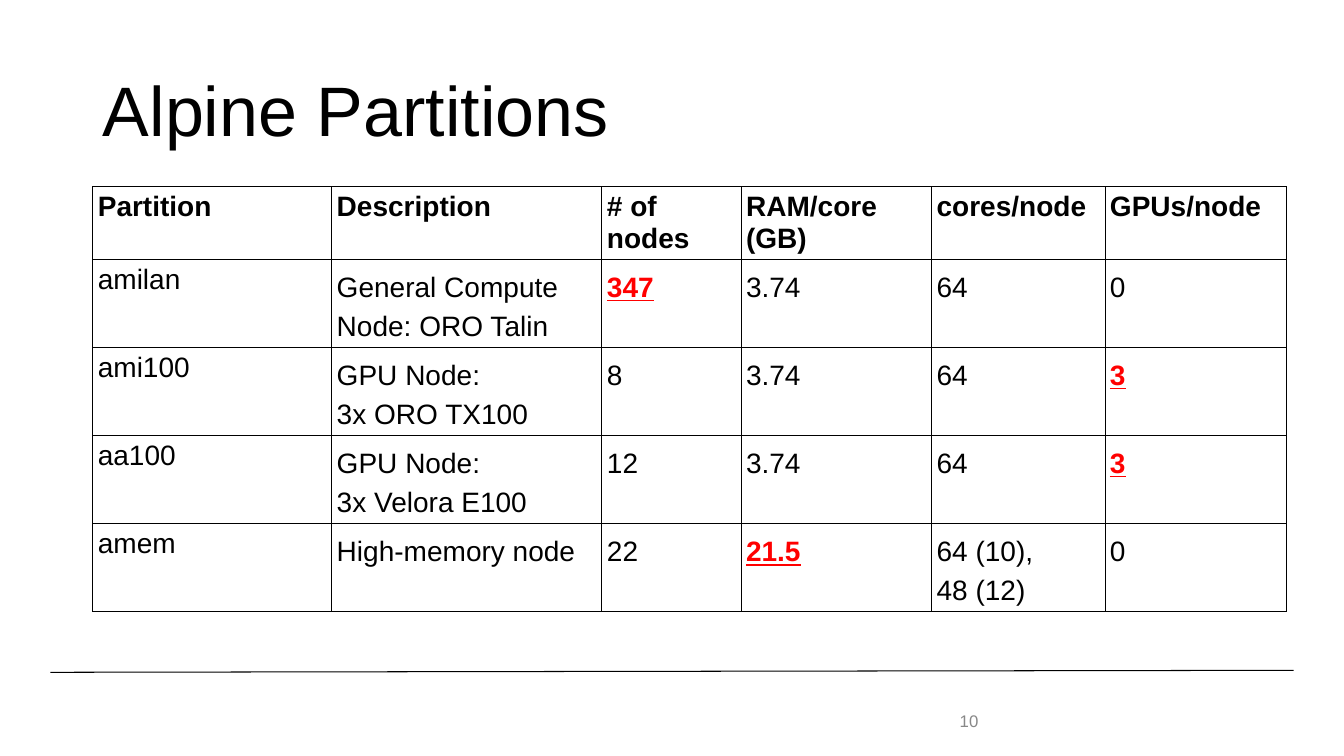
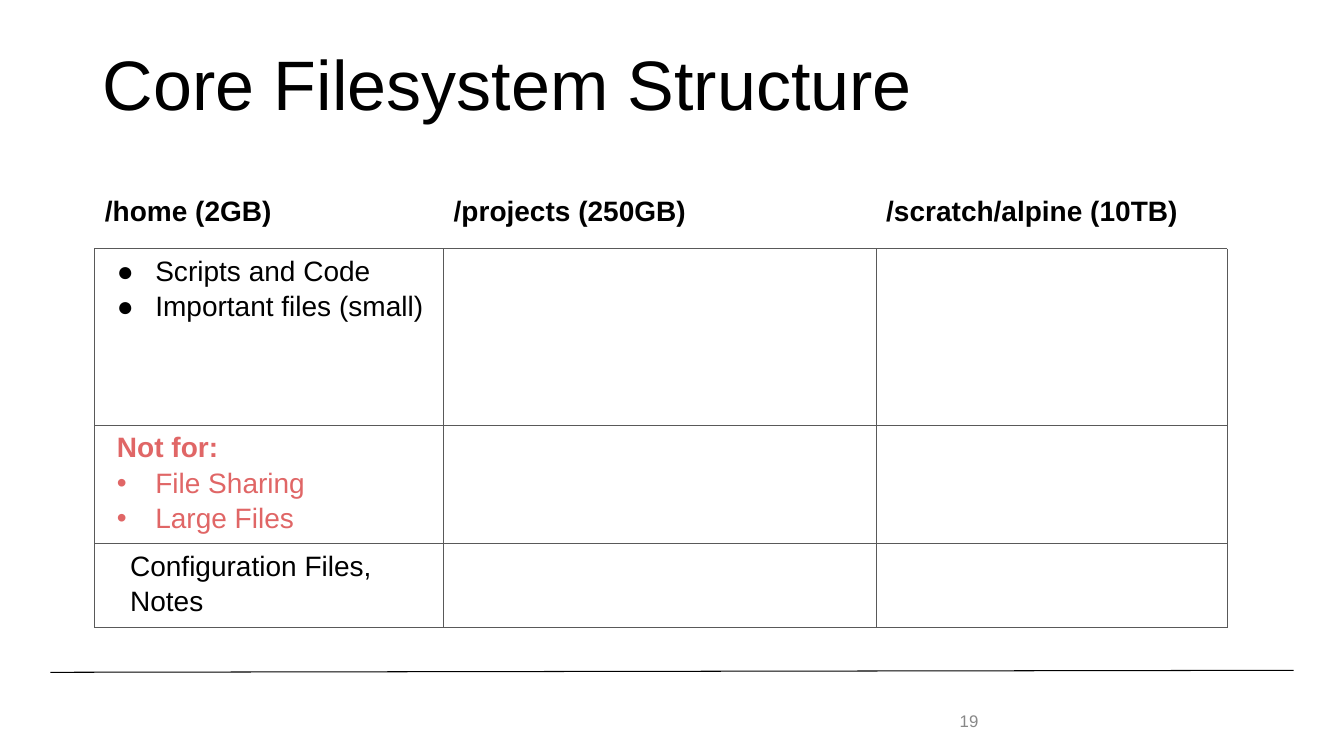
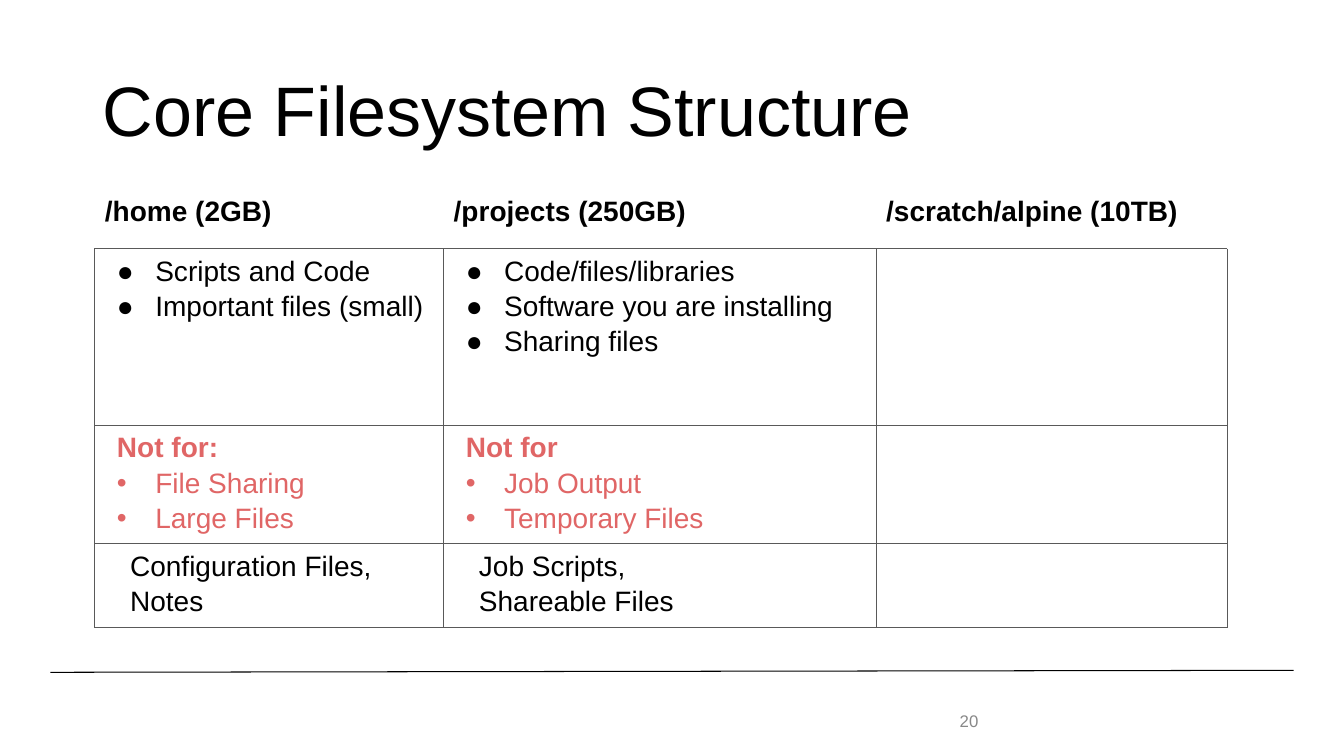
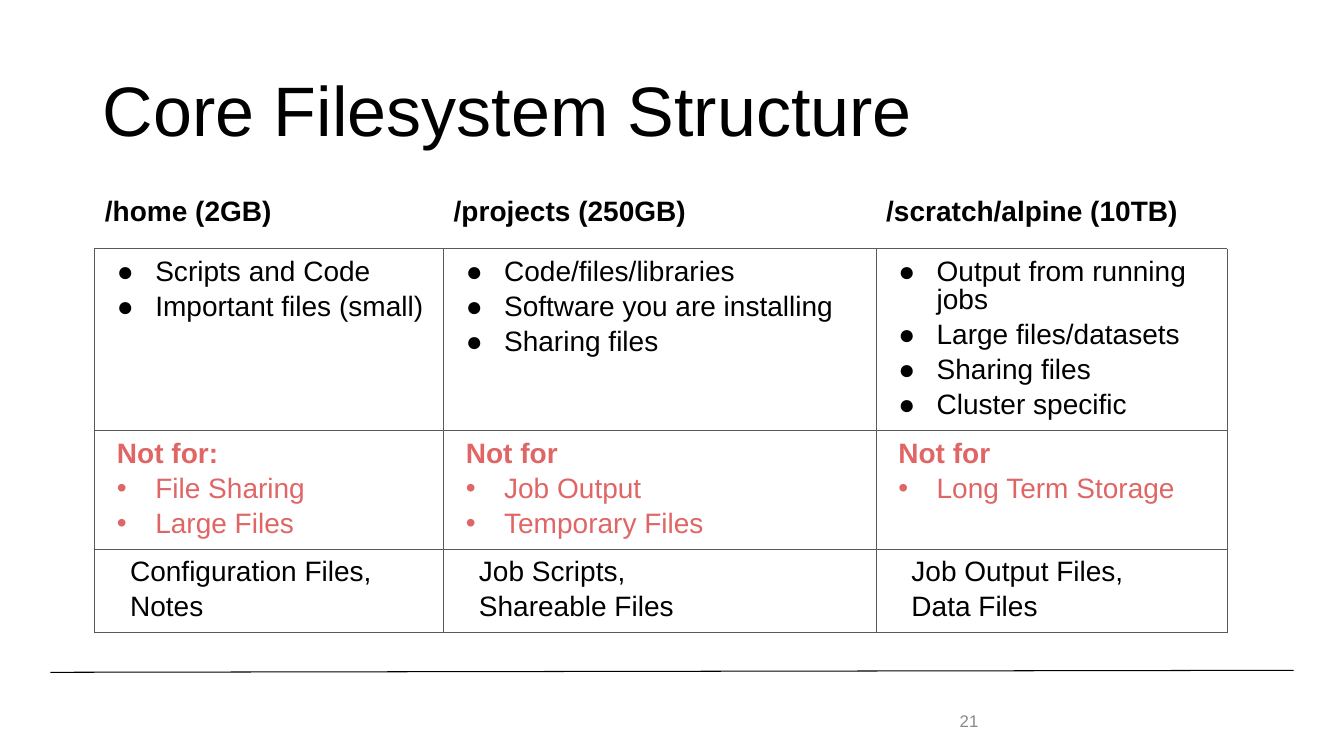
"""Builds four slides on the partitions and file systems of a cluster."""
import lxml.etree
import pptx
import pptx.dml.color
import pptx.enum.shapes
import pptx.enum.text
import pptx.oxml.ns
import pptx.util

Inches = pptx.util.Inches
Pt = pptx.util.Pt
qn = pptx.oxml.ns.qn
SubElement = lxml.etree.SubElement

FONT = "Arial"
BLACK, WHITE, GRAY, EDGE = "000000", "FFFFFF", "888888", "595959"
RED, ROSE = "FF0000", "E06666"


def tint(code):
    """Turn a hex string into a colour."""
    return pptx.dml.color.RGBColor.from_string(code)


def grid(slide, left, cols, rows, cells, pad, edge, frame):
    """Add a table and return (row, column, index, paragraph) for its text."""
    table = slide.shapes.add_table(
        len(rows), len(cols), Inches(left), Inches(1.85),
        Inches(sum(cols)), Inches(sum(rows))).table
    table.first_row = table.horz_banding = False
    for col, width in zip(table.columns, cols):
        col.width = Inches(width)
    for row, height in zip(table.rows, rows):
        row.height = Inches(height)
    found = []
    for r, line in enumerate(cells):
        for c, text in enumerate(line):
            cell = table.cell(r, c)
            cell.fill.background()
            cell.margin_left = cell.margin_right = Inches(pad)
            cell.margin_top = cell.margin_bottom = Inches(pad)
            props = cell._tc.get_or_add_tcPr()
            for i, side in enumerate(("lnL", "lnR", "lnT", "lnB")):
                code = frame if r == 0 and side != "lnB" else edge
                rule = lxml.etree.Element(qn("a:" + side), w=str(Pt(0.75)))
                fill = SubElement(rule, qn("a:solidFill"))
                SubElement(fill, qn("a:srgbClr"), val=code)
                props.insert(i, rule)
            if text:
                cell.text = text
                for i, par in enumerate(cell.text_frame.paragraphs):
                    found.append((r, c, i, par))
    return found


nodes = [
    ["Partition", "Description", "# of nodes", "RAM/core (GB)",
     "cores/node", "GPUs/node"],
    ["amilan", "General Compute Node: ORO Talin", "347", "3.74", "64", "0"],
    ["ami100", "GPU Node:\n3x ORO TX100", "8", "3.74", "64", "3"],
    ["aa100", "GPU Node:\n3x Velora E100", "12", "3.74", "64", "3"],
    ["amem", "High-memory node", "22", "21.5", "64 (10),\n48 (12)", "0"],
]
hot = ("347", "3", "21.5")

heads = ["/home (2GB)", "/projects (250GB)", "/scratch/alpine (10TB)"]
areas = [
    ["Scripts and Code\nImportant files (small)",
     "Code/files/libraries\nSoftware you are installing\nSharing files",
     "Output from running jobs\nLarge files/datasets\nSharing files\n"
     "Cluster specific"],
    ["Not for:\nFile Sharing\nLarge Files",
     "Not for\nJob Output\nTemporary Files",
     "Not for\nLong Term Storage"],
    ["Configuration Files,\nNotes",
     "Job Scripts,\nShareable Files",
     "Job Output Files,\nData Files"],
]

pages = [
    ("Alpine Partitions", 0.4, "10", 0),
    ("Core Filesystem Structure", 0.15, "19", 1),
    ("Core Filesystem Structure", 0.4, "20", 2),
    ("Core Filesystem Structure", 0.4, "21", 3),
]

deck = pptx.Presentation()
deck.slide_width, deck.slide_height = Inches(13.33), Inches(7.5)

for name, top, number, shown in pages:
    slide = deck.slides.add_slide(deck.slide_layouts[5])

    line = slide.shapes.add_connector(
        pptx.enum.shapes.MSO_CONNECTOR.STRAIGHT,
        Inches(0.5), Inches(6.67), Inches(12.83), Inches(6.65))
    line.line.color.rgb = tint(BLACK)
    line.line.width = Pt(0.75)
    SubElement(line._element.spPr, qn("a:effectLst"))

    title = slide.shapes.title
    title.left, title.top = Inches(0.92), Inches(top)
    title.width, title.height = Inches(11.5), Inches(1.45)
    foot = slide.shapes.add_textbox(
        Inches(9.42), Inches(6.95), Inches(0.75), Inches(0.4))
    for box, text, size, code in ((title, name, 50, BLACK),
                                  (foot, number, 12, GRAY)):
        frame = box.text_frame
        frame.text = text
        frame.word_wrap = True
        frame.auto_size = pptx.enum.text.MSO_AUTO_SIZE.NONE
        frame.vertical_anchor = pptx.enum.text.MSO_ANCHOR.MIDDLE
        par = frame.paragraphs[0]
        par.alignment = pptx.enum.text.PP_ALIGN.LEFT
        par.font.name, par.font.size = FONT, Pt(size)
        par.font.color.rgb = tint(code)
    title.text_frame.paragraphs[0].line_spacing = 0.9

    if shown == 0:
        found = grid(slide, 0.92, [2.37, 2.68, 1.38, 1.89, 1.72, 1.8],
                     [0.72] + [0.87] * 4, nodes, 0.05, BLACK, BLACK)
    else:
        cells = [heads] + [
            [text if c < shown else "" for c, text in enumerate(row)]
            for row in areas]
        found = grid(slide, 0.94, [3.46, 4.29, 3.48],
                     [0.62, 1.75, 1.17, 0.82], cells, 0.1, EDGE, WHITE)

    for r, c, i, par in found:
        code, bold = BLACK, r == 0
        if shown == 0:
            if r and c:
                par.line_spacing = 1.25
            if par.text in hot:
                code, bold = RED, True
        elif r:
            par.line_spacing = 0.9
            par.space_before = Pt(5 if i else 0)
            code = ROSE if r == 2 else BLACK
            bold = r == 2 and i == 0
            left, shift = 0.5, -0.38
            if bold:
                left, shift = 0.12, 0
            elif r == 3:
                shift = -0.25
            props = par._p.get_or_add_pPr()
            props.set("marL", str(Inches(left)))
            props.set("indent", str(Inches(shift)))
            if r < 3 and not bold:
                mark = SubElement(props, qn("a:buClr"))
                SubElement(mark, qn("a:srgbClr"), val=code)
                SubElement(props, qn("a:buFont"), typeface=FONT)
                SubElement(props, qn("a:buChar"), char="●" if r == 1 else "•")
        par.font.name, par.font.size = FONT, Pt(20)
        par.font.bold = bold
        par.font.underline = code == RED
        par.font.color.rgb = tint(code)

deck.save("out.pptx")
